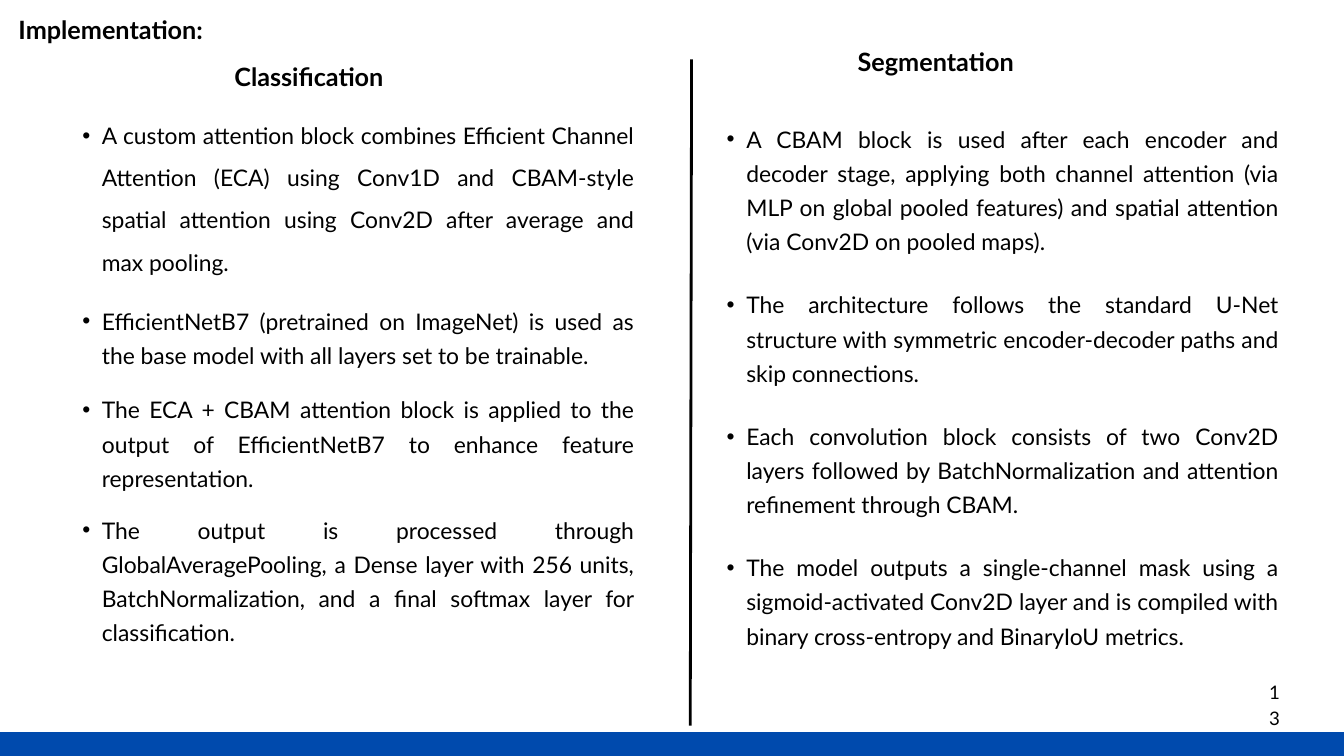
from dataclasses import dataclass

from lxml.etree import SubElement
from pptx import Presentation
from pptx.dml.color import RGBColor
from pptx.enum.shapes import MSO_CONNECTOR as Connector
from pptx.enum.text import MSO_AUTO_SIZE as AutoSize, PP_ALIGN as Align
from pptx.oxml.ns import qn
from pptx.slide import Slide
from pptx.text.text import TextFrame
from pptx.util import Cm, Pt


@dataclass(frozen=True)
class Theme:
    font: str = "Lato"
    ink: RGBColor = RGBColor(0, 0, 0)
    accent: RGBColor = RGBColor(0x00, 0x4A, 0xAD)
    heading_size: float = 27
    heading_pitch: float = 37.8
    body_size: float = 24.45
    body_pitch: float = 36.7
    number_size: float = 20
    number_pitch: float = 28
    divider_width: float = 3


@dataclass(frozen=True)
class Box:
    left: float
    top: float
    width: float
    height: float


@dataclass(frozen=True)
class Heading:
    text: str
    left: float
    top: float


@dataclass(frozen=True)
class Bullet:
    text: str
    gap_before: float = 0
    pitch: float = Theme.body_pitch


@dataclass(frozen=True)
class BulletList:
    box: Box
    bullets: tuple[Bullet, ...]


THEME = Theme()
SLIDE_WIDTH, SLIDE_HEIGHT = 50.8, 28.58
FOOTER = Box(0, 27.69, SLIDE_WIDTH, 26.24)
HEADING_WIDTH, HEADING_HEIGHT = 16.31, 1.3
BULLET_MARGIN, BULLET_HANG = 1.47, 0.74
SEGMENTATION_GAP = 30.7

HEADINGS = (
    Heading("Implementation:", 0.7, 0.36),
    Heading("Classification", 8.86, 2.13),
    Heading("Segmentation", 32.42, 1.57),
)

CLASSIFICATION = BulletList(Box(2.38, 4.04, 21.59, 22.61), (
    Bullet("A custom attention block combines Efficient Channel Attention (ECA) using Conv1D "
           "and CBAM-style spatial attention using Conv2D after average and max pooling.",
           pitch=45.2),
    Bullet("EfficientNetB7 (pretrained on ImageNet) is used as the base model with all layers "
           "set to be trainable.", 26.7),
    Bullet("The ECA + CBAM attention block is applied to the output of EfficientNetB7 to "
           "enhance feature representation.", 21.7),
    Bullet("The output is processed through GlobalAveragePooling, a Dense layer with 256 units, "
           "BatchNormalization, and a final softmax layer for classification.", 18.7),
))

SEGMENTATION = BulletList(Box(26.74, 4.48, 21.59, 22.12), (
    Bullet("A CBAM block is used after each encoder and decoder stage, applying both channel "
           "attention (via MLP on global pooled features) and spatial attention (via Conv2D on "
           "pooled maps)."),
    Bullet("The architecture follows the standard U-Net structure with symmetric "
           "encoder-decoder paths and skip connections.", SEGMENTATION_GAP),
    Bullet("Each convolution block consists of two Conv2D layers followed by "
           "BatchNormalization and attention refinement through CBAM.", SEGMENTATION_GAP),
    Bullet("The model outputs a single-channel mask using a sigmoid-activated Conv2D layer and "
           "is compiled with binary cross-entropy and BinaryIoU metrics.", SEGMENTATION_GAP),
))


def add_text_frame(slide: Slide, box: Box) -> TextFrame:
    shape = slide.shapes.add_textbox(Cm(box.left), Cm(box.top), Cm(box.width), Cm(box.height))
    frame = shape.text_frame
    frame.margin_left = frame.margin_right = frame.margin_top = frame.margin_bottom = 0
    frame.word_wrap = True
    frame.auto_size = AutoSize.SHAPE_TO_FIT_TEXT
    return frame


def write(paragraph, text: str, size: float, pitch: float,
          align: Align = Align.JUSTIFY, bold: bool = False) -> None:
    paragraph.alignment = align
    paragraph.line_spacing = Pt(pitch)
    run = paragraph.add_run()
    run.text = text
    run.font.name = THEME.font
    run.font.size = Pt(size)
    run.font.bold = bold
    run.font.color.rgb = THEME.ink


def add_heading(slide: Slide, heading: Heading) -> None:
    frame = add_text_frame(
        slide, Box(heading.left, heading.top, HEADING_WIDTH, HEADING_HEIGHT))
    write(frame.paragraphs[0], heading.text, THEME.heading_size, THEME.heading_pitch, bold=True)


def add_bullet_list(slide: Slide, bullet_list: BulletList) -> None:
    frame = add_text_frame(slide, bullet_list.box)
    for index, bullet in enumerate(bullet_list.bullets):
        paragraph = frame.add_paragraph() if index else frame.paragraphs[0]
        write(paragraph, bullet.text, THEME.body_size, bullet.pitch)
        paragraph.level = 1
        paragraph.space_before = Pt(bullet.gap_before)
        properties = paragraph._p.get_or_add_pPr()
        properties.set("marL", str(Cm(BULLET_MARGIN)))
        properties.set("indent", str(-Cm(BULLET_HANG)))
        SubElement(properties, qn("a:buFont"), typeface="Arial")
        SubElement(properties, qn("a:buChar"), char="•")


def add_divider(slide: Slide) -> None:
    divider = slide.shapes.add_connector(
        Connector.STRAIGHT, Cm(26.14), Cm(2.24), Cm(26.09), Cm(27.43))
    divider.line.color.rgb = THEME.ink
    divider.line.width = Pt(THEME.divider_width)
    SubElement(divider._element.spPr, qn("a:effectLst"))


def add_footer(slide: Slide) -> None:
    left, top = Cm(FOOTER.left), Cm(FOOTER.top)
    right, bottom = left + Cm(FOOTER.width), top + Cm(FOOTER.height)
    builder = slide.shapes.build_freeform(left, top)
    builder.add_line_segments([(right, top), (right, bottom), (left, bottom)], close=True)
    band = builder.convert_to_shape()
    band.shadow.inherit = False
    band.fill.solid()
    band.fill.fore_color.rgb = THEME.accent
    band.line.fill.background()


def add_page_number(slide: Slide) -> None:
    frame = add_text_frame(slide, Box(47.96, 25.58, 0.43, 0.56))
    write(frame.paragraphs[0], "13", THEME.number_size, THEME.number_pitch, Align.CENTER)


def main() -> None:
    presentation = Presentation()
    presentation.slide_width = Cm(SLIDE_WIDTH)
    presentation.slide_height = Cm(SLIDE_HEIGHT)
    slide = presentation.slides.add_slide(presentation.slide_layouts[6])
    add_divider(slide)
    add_page_number(slide)
    add_footer(slide)
    for heading in HEADINGS:
        add_heading(slide, heading)
    for bullet_list in (SEGMENTATION, CLASSIFICATION):
        add_bullet_list(slide, bullet_list)
    presentation.save("out.pptx")


if __name__ == "__main__":
    main()
